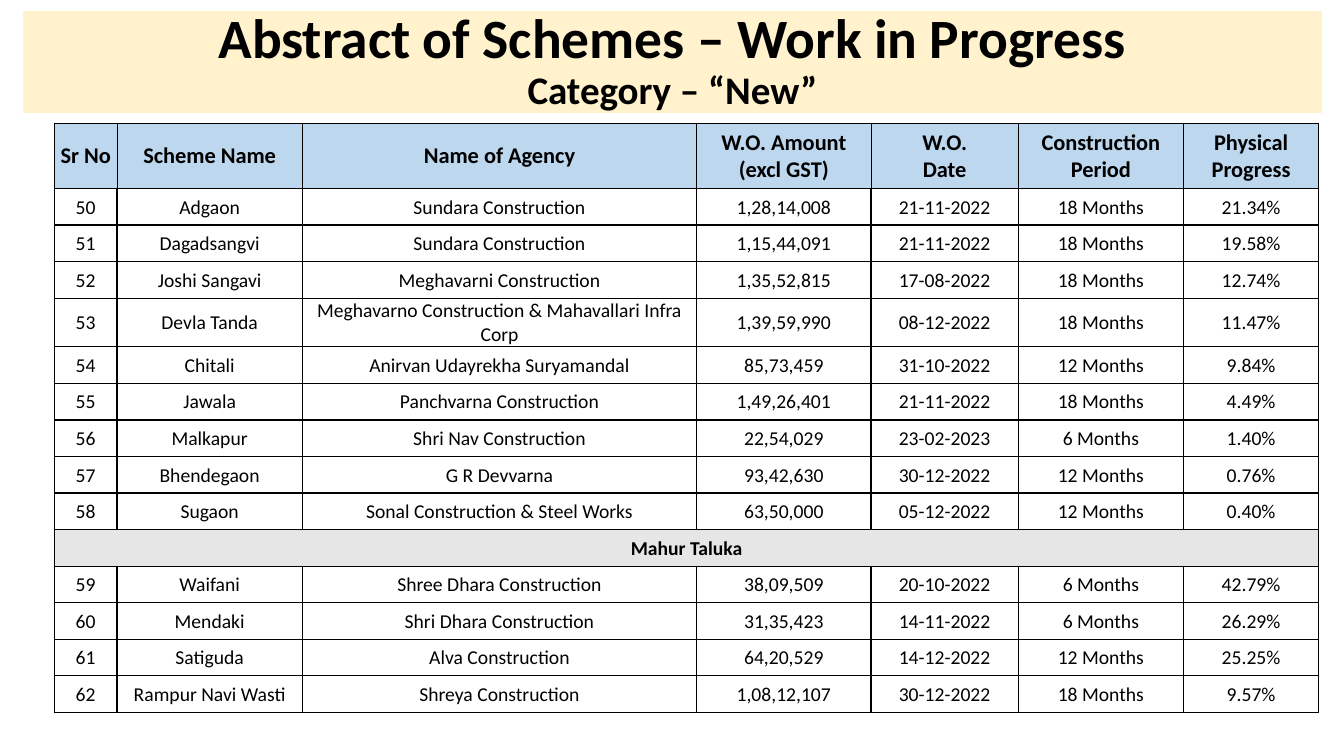
from lxml import etree
from pptx import Presentation
from pptx.dml.color import RGBColor
from pptx.enum import shapes, text
from pptx.oxml import ns
from pptx.util import Inches, Pt

# Content: "\n" starts a new paragraph, "\v" breaks a line
TITLE_LINES = [("Abstract of Schemes – Work in Progress", 39.6), ("Category – “New”", 27.9)]
HEADINGS = ["Sr No", "Scheme Name", "Name of Agency", "W.O. Amount\v(excl GST)",
            "W.O.\vDate", "Construction\vPeriod", "Physical\nProgress"]
SCHEMES = [
    ("50", "Adgaon", "Sundara Construction", "1,28,14,008", "21-11-2022", "18 Months", "21.34%"),
    ("51", "Dagadsangvi", "Sundara Construction", "1,15,44,091", "21-11-2022", "18 Months", "19.58%"),
    ("52", "Joshi Sangavi", "Meghavarni Construction", "1,35,52,815", "17-08-2022", "18 Months", "12.74%"),
    ("53", "Devla Tanda", "Meghavarno Construction & Mahavallari Infra Corp",
     "1,39,59,990", "08-12-2022", "18 Months", "11.47%"),
    ("54", "Chitali", "Anirvan Udayrekha Suryamandal", "85,73,459", "31-10-2022", "12 Months", "9.84%"),
    ("55", "Jawala", "Panchvarna Construction", "1,49,26,401", "21-11-2022", "18 Months", "4.49%"),
    ("56", "Malkapur", "Shri Nav Construction", "22,54,029", "23-02-2023", "6 Months", "1.40%"),
    ("57", "Bhendegaon", "G R Devvarna", "93,42,630", "30-12-2022", "12 Months", "0.76%"),
    ("58", "Sugaon", "Sonal Construction & Steel Works", "63,50,000", "05-12-2022", "12 Months", "0.40%"),
    ("Mahur Taluka",),
    ("59", "Waifani", "Shree Dhara Construction", "38,09,509", "20-10-2022", "6 Months", "42.79%"),
    ("60", "Mendaki", "Shri Dhara Construction", "31,35,423", "14-11-2022", "6 Months", "26.29%"),
    ("61", "Satiguda", "Alva Construction", "64,20,529", "14-12-2022", "12 Months", "25.25%"),
    ("62", "Rampur Navi Wasti", "Shreya Construction", "1,08,12,107", "30-12-2022", "18 Months", "9.57%"),
]
COLUMN_WIDTHS = [0.62, 1.84, 3.91, 1.73, 1.46, 1.64, 1.34]
TABLE_LEFT, HEADER_TOP, HEADER_HEIGHT = 0.54, 1.22, 0.65
ROWS_HEIGHT = 5.08

FONT = "Calibri"
BLACK = RGBColor(0x00, 0x00, 0x00)
CREAM = RGBColor(0xFF, 0xF2, 0xCC)
LIGHT_BLUE = RGBColor(0xBD, 0xD7, 0xEE)
LIGHT_GRAY = RGBColor(0xE7, 0xE6, 0xE6)


def add_run(paragraph, words, size, bold):
    run = paragraph.add_run()
    run.text = words
    run.font.name = FONT
    run.font.size = Pt(size)
    run.font.bold = bold
    run.font.color.rgb = BLACK


def set_borders(cell, width, bottom_width):
    properties = cell._tc.get_or_add_tcPr()
    for side in "LRTB":
        points = bottom_width if side == "B" else width
        line = etree.SubElement(properties, ns.qn("a:ln" + side), w=str(Pt(points)))
        fill = etree.SubElement(line, ns.qn("a:solidFill"))
        etree.SubElement(fill, ns.qn("a:srgbClr"), val=str(BLACK))


def fill_cell(cell, words, size, bold):
    cell.vertical_anchor = text.MSO_ANCHOR.MIDDLE
    cell.margin_left = cell.margin_top = cell.margin_right = Inches(0.01)
    cell.margin_bottom = 0
    frame = cell.text_frame
    for number, content in enumerate(words.split("\n")):
        paragraph = frame.add_paragraph() if number else frame.paragraphs[0]
        paragraph.alignment = text.PP_ALIGN.CENTER
        for part, line in enumerate(content.split("\v")):
            if part:
                paragraph.add_line_break()
            add_run(paragraph, line, size, bold)


def add_grid(slide, rows, top, height, size, bold, border, color=None):
    columns = len(COLUMN_WIDTHS)
    table = slide.shapes.add_table(
        len(rows), columns, Inches(TABLE_LEFT), Inches(top),
        Inches(sum(COLUMN_WIDTHS)), Inches(height)).table
    table.first_row = table.horz_banding = False
    for column, width in zip(table.columns, COLUMN_WIDTHS):
        column.width = Inches(width)
    for index, values in enumerate(rows):
        table.rows[index].height = Inches(height / len(rows))
        section = len(values) == 1
        cells = [table.cell(index, column) for column in range(columns)]
        for cell in cells:
            set_borders(cell, border, 1)
            shade = LIGHT_GRAY if section else color
            if shade is None:
                cell.fill.background()
            else:
                cell.fill.solid()
                cell.fill.fore_color.rgb = shade
        if section:
            cells[0].merge(cells[-1])
        for cell, words in zip(cells, values):
            fill_cell(cell, words, size, bold or section)


presentation = Presentation()
presentation.slide_width, presentation.slide_height = Inches(13.33), Inches(7.5)
slide = presentation.slides.add_slide(presentation.slide_layouts[6])

# Title band
band = slide.shapes.add_shape(shapes.MSO_SHAPE.RECTANGLE, Inches(0.23), Inches(0.11),
                              Inches(12.88), Inches(1.01))
band.shadow.inherit = False
band.fill.solid()
band.fill.fore_color.rgb = CREAM
band.line.fill.background()
band.text_frame.word_wrap = True
band.text_frame.vertical_anchor = text.MSO_ANCHOR.MIDDLE
paragraph = band.text_frame.paragraphs[0]
paragraph.alignment = text.PP_ALIGN.CENTER
paragraph.line_spacing = 0.9
for number, (words, size) in enumerate(TITLE_LINES):
    if number:
        paragraph.add_line_break()
    add_run(paragraph, words, size, True)

# Header table, then the scheme table right below it
add_grid(slide, [HEADINGS], HEADER_TOP, HEADER_HEIGHT, 16, True, 0.5, LIGHT_BLUE)
add_grid(slide, SCHEMES, HEADER_TOP + HEADER_HEIGHT, ROWS_HEIGHT, 14, False, 1)

presentation.save("out.pptx")
